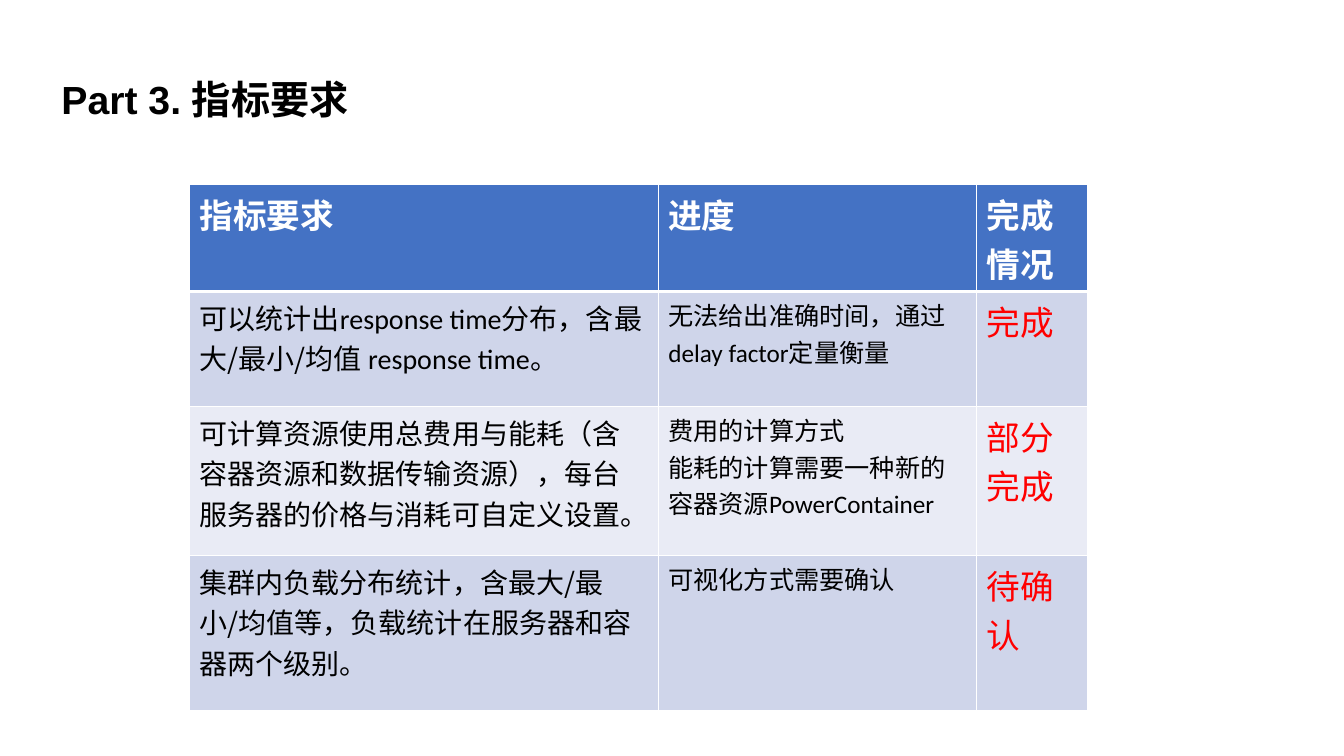
from lxml import etree
from pptx import Presentation
from pptx import util as u
from pptx.dml.color import RGBColor
from pptx.enum import text as t
from pptx.oxml.ns import qn

BLACK = RGBColor(0x00, 0x00, 0x00)
WHITE = RGBColor(0xFF, 0xFF, 0xFF)
RED = RGBColor(0xFF, 0x00, 0x00)
HEADER_BLUE = RGBColor(0x44, 0x72, 0xC4)
BAND_DARK = RGBColor(0xCF, 0xD5, 0xEA)
BAND_LIGHT = RGBColor(0xE9, 0xEB, 0xF5)
CJK = "Noto Sans CJK SC"
LATIN = "Calibri"


def write(frame, paragraphs, size, color=BLACK, bold=False, font=CJK):
    for index, pieces in enumerate(paragraphs):
        paragraph = frame.paragraphs[0] if index == 0 else frame.add_paragraph()
        paragraph.alignment = t.PP_ALIGN.LEFT
        for piece in pieces:
            words, face = piece if isinstance(piece, tuple) else (piece, font)
            run = paragraph.add_run()
            run.text = words
            run.font.size = u.Pt(size)
            run.font.bold = bold
            run.font.color.rgb = color
            run.font.name = face
            etree.SubElement(run.font._element, qn("a:ea"), typeface=CJK)


class RequirementSlide:
    def __init__(self, deck):
        self.slide = deck.slides.add_slide(deck.slide_layouts[5])
        self.border_color = WHITE

    def heading(self, pieces, left, top, width, height):
        title = self.slide.shapes.title
        title.left, title.top = u.Pt(left), u.Pt(top)
        title.width, title.height = u.Pt(width), u.Pt(height)
        title.text_frame.auto_size = t.MSO_AUTO_SIZE.SHAPE_TO_FIT_TEXT
        write(title.text_frame, [pieces], 28, bold=True, font="Arial")

    def border(self, cell, **widths):
        properties = cell._tc.get_or_add_tcPr()
        for side in ("L", "R", "T", "B"):
            line = etree.SubElement(properties, qn(f"a:ln{side}"),
                                    w=str(u.Pt(widths.get(side, 1))))
            fill = etree.SubElement(line, qn("a:solidFill"))
            etree.SubElement(fill, qn("a:srgbClr"), val=str(self.border_color))

    def table(self, rows, left, top, widths, heights):
        grid = self.slide.shapes.add_table(
            len(rows), len(widths), u.Pt(left), u.Pt(top),
            u.Pt(sum(widths)), u.Pt(sum(heights))).table
        for column, width in zip(grid.columns, widths):
            column.width = u.Pt(width)
        for r, (requirements, height) in enumerate(zip(rows, heights)):
            grid.rows[r].height = u.Pt(height)
            for c, paragraphs in enumerate(requirements):
                cell = grid.cell(r, c)
                self.border(cell, B=3 if r == 0 else 1, T=3 if r == 1 else 1)
                cell.fill.solid()
                if r == 0:
                    cell.fill.fore_color.rgb = HEADER_BLUE
                    write(cell.text_frame, paragraphs, 24, WHITE, True)
                else:
                    cell.fill.fore_color.rgb = BAND_DARK if r % 2 else BAND_LIGHT
                    size, color, font = COLUMN_STYLES[c]
                    write(cell.text_frame, paragraphs, size, color, font=font)


COLUMN_STYLES = [(20, BLACK, CJK), (18, BLACK, LATIN), (24, RED, CJK)]
REQUIREMENTS = [
    [[["指标要求"]], [["进度"]], [["完成情况"]]],
    [[["可以统计出", ("response time", LATIN), "分布，含最大/最小/均值 ",
       ("response time", LATIN), "。"]],
     [["无法给出准确时间，通过delay factor定量衡量"]],
     [["完成"]]],
    [[["可计算资源使用总费用与能耗（含容器资源和数据传输资源），每台服务器的价格与消耗可自定义设置。"]],
     [["费用的计算方式"], ["能耗的计算需要一种新的容器资源PowerContainer"]],
     [["部分完成"]]],
    [[["集群内负载分布统计，含最大/最小/均值等，负载统计在服务器和容器两个级别。"]],
     [["可视化方式需要确认"]],
     [["待确认"]]],
]


def main():
    deck = Presentation()
    deck.slide_width, deck.slide_height = u.Pt(960), u.Pt(540)
    page = RequirementSlide(deck)
    page.heading(["Part 3. ", ("指标要求", CJK)], 36.7, 50.2, 306.7, 41)
    page.table(REQUIREMENTS, 135.4, 131.8,
               widths=[334.8, 227.2, 79.5], heights=[76.4, 82.1, 106.6, 110.9])
    deck.save("out.pptx")


if __name__ == "__main__":
    main()
